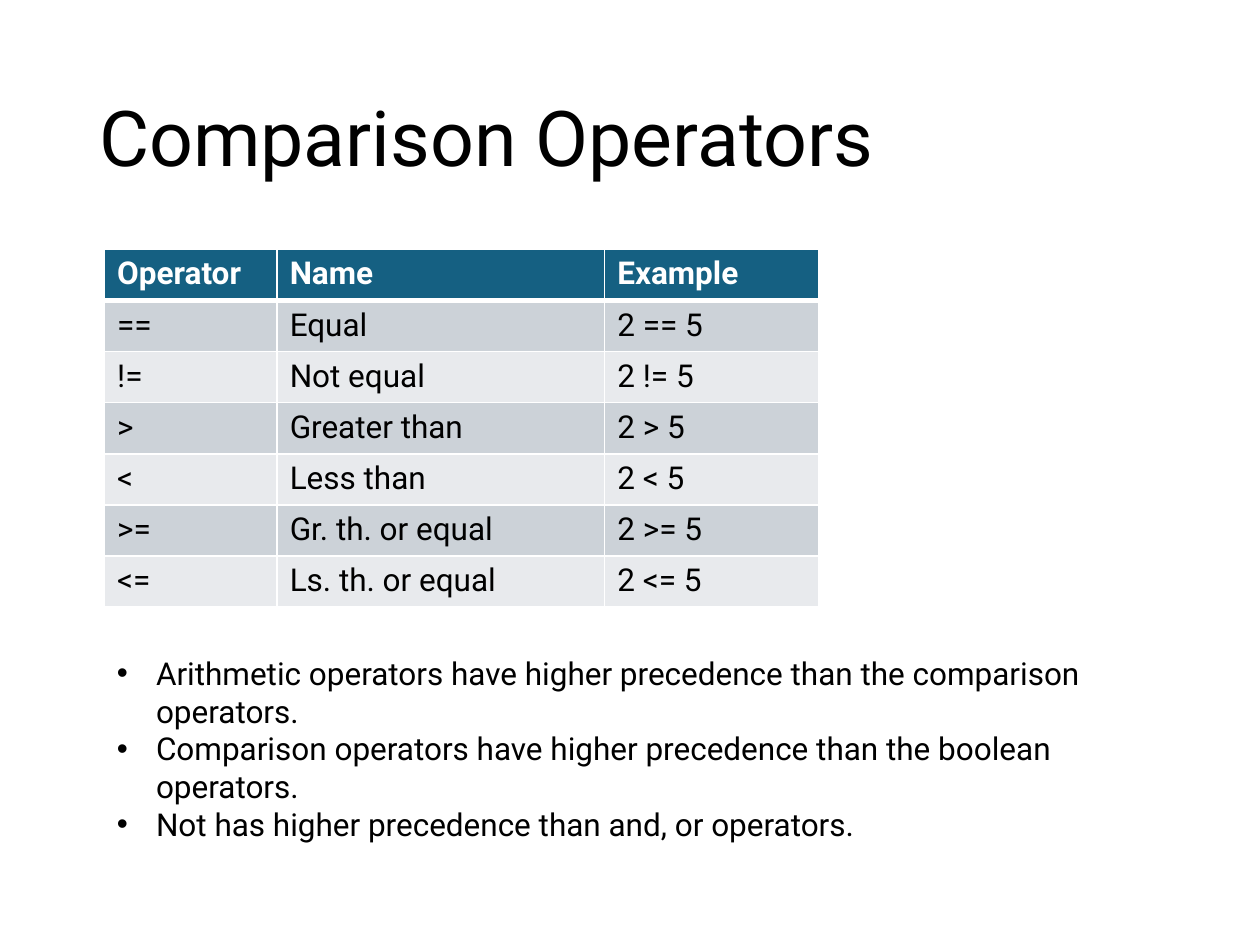
from lxml import etree
from pptx import Presentation, util as u
from pptx.dml.color import RGBColor
from pptx.enum import text
from pptx.oxml import ns


def style(par, size, color, bold=False):
    font = par.font
    font.name, font.size, font.bold = "Roboto", u.Pt(size), bold
    font.color.rgb = RGBColor.from_string(color)


def add(base, tag, **attrs):
    return etree.SubElement(base, ns.qn(tag), attrs)


deck = Presentation()
deck.slide_width, deck.slide_height = u.Inches(10), u.Inches(7.5)
slide = deck.slides.add_slide(deck.slide_layouts[6])
left = u.Inches(0.83)

title = slide.shapes.add_textbox(u.Inches(0.69), u.Inches(0.4), u.Inches(8.62), u.Inches(1.45))
frame = title.text_frame
frame.word_wrap = True
frame.vertical_anchor = text.MSO_ANCHOR.MIDDLE
frame.text = "Comparison Operators"
frame.paragraphs[0].line_spacing = 0.9
style(frame.paragraphs[0], 44, "000000")

rows = [
    ("Operator", "Name", "Example"),
    ("==", "Equal", "2 == 5"),
    ("!=", "Not equal", "2 != 5"),
    (">", "Greater than", "2 > 5"),
    ("<", "Less than", "2 < 5"),
    (">=", "Gr. th. or equal", "2 >= 5"),
    ("<=", "Ls. th. or equal", "2 <= 5"),
]
widths = [1.37, 2.6, 1.7]
grid = slide.shapes.add_table(
    len(rows), len(widths), left, u.Inches(1.98), u.Inches(sum(widths)), u.Inches(2.84)
).table
for col, width in zip(grid.columns, widths):
    col.width = u.Inches(width)

for r, row in enumerate(rows):
    head = r == 0
    shade = "156082" if head else ("E8EAED", "CCD2D8")[r % 2]
    for c, word in enumerate(row):
        cell = grid.cell(r, c)
        cell.text = word
        style(cell.text_frame.paragraphs[0], 18, "FFFFFF" if head else "000000", head)
        props = cell._tc.get_or_add_tcPr()
        for side in "LRTB":
            thick = 3 if (r, side) in ((0, "B"), (1, "T")) else 1
            line = add(props, f"a:ln{side}", w=str(u.Pt(thick)))
            add(add(line, "a:solidFill"), "a:srgbClr", val="FFFFFF")
        cell.fill.solid()
        cell.fill.fore_color.rgb = RGBColor.from_string(shade)

notes = [
    "Arithmetic operators have higher precedence than the comparison operators.",
    "Comparison operators have higher precedence than the boolean operators.",
    "Not has higher precedence than and, or operators.",
]
box = slide.shapes.add_textbox(left, u.Inches(5.14), u.Inches(8.48), u.Inches(1.62))
frame = box.text_frame
frame.word_wrap = True
frame.auto_size = text.MSO_AUTO_SIZE.SHAPE_TO_FIT_TEXT
frame.text = "\n".join(notes)
dent = u.Inches(0.31)
for par in frame.paragraphs:
    style(par, 18, "000000")
    props = par._p.get_or_add_pPr()
    props.set("marL", str(dent))
    props.set("indent", str(-dent))
    mark = etree.Element(ns.qn("a:buFont"), typeface="Arial")
    props.insert(0, mark)
    mark.addnext(etree.Element(ns.qn("a:buChar"), char="•"))

deck.save("out.pptx")
